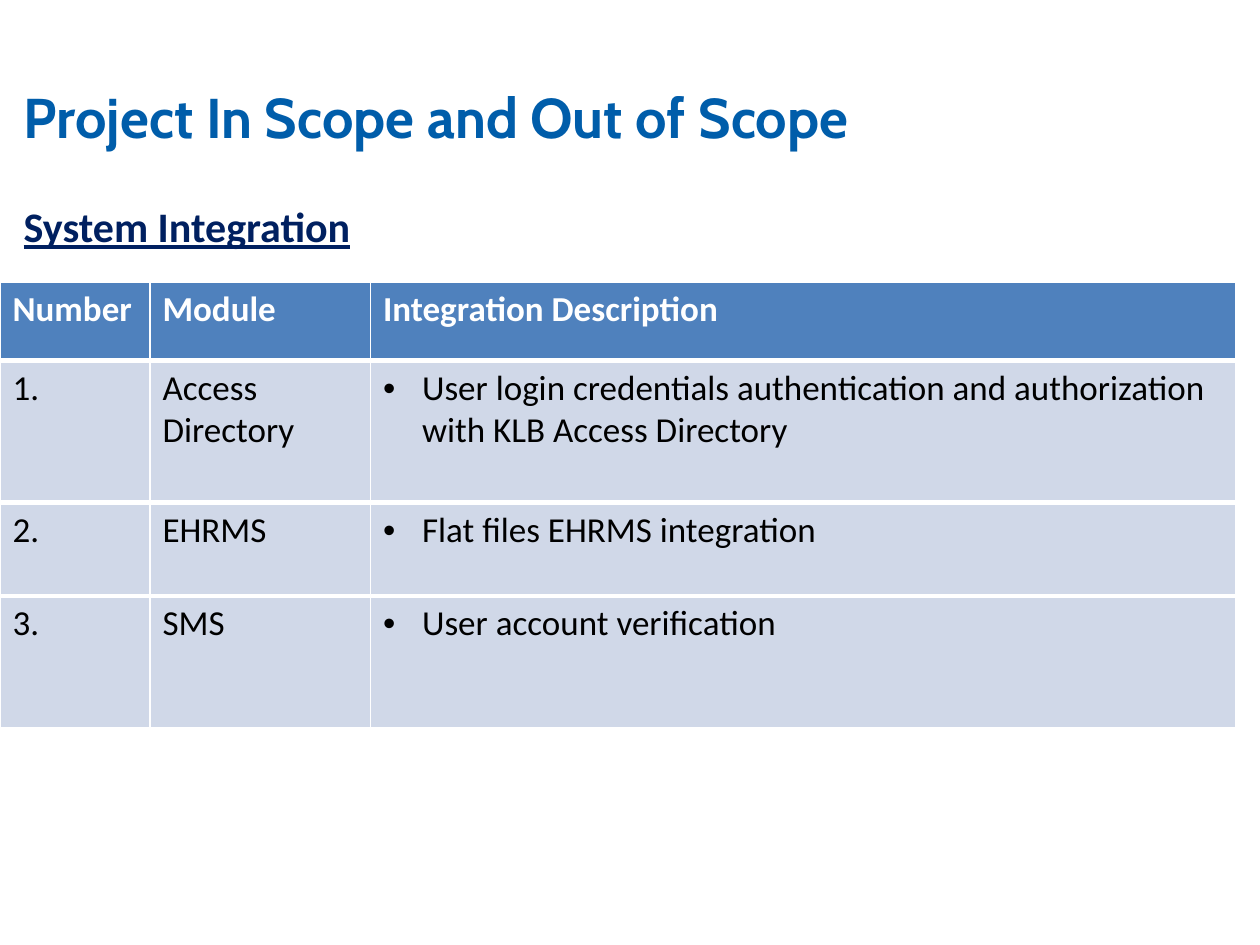
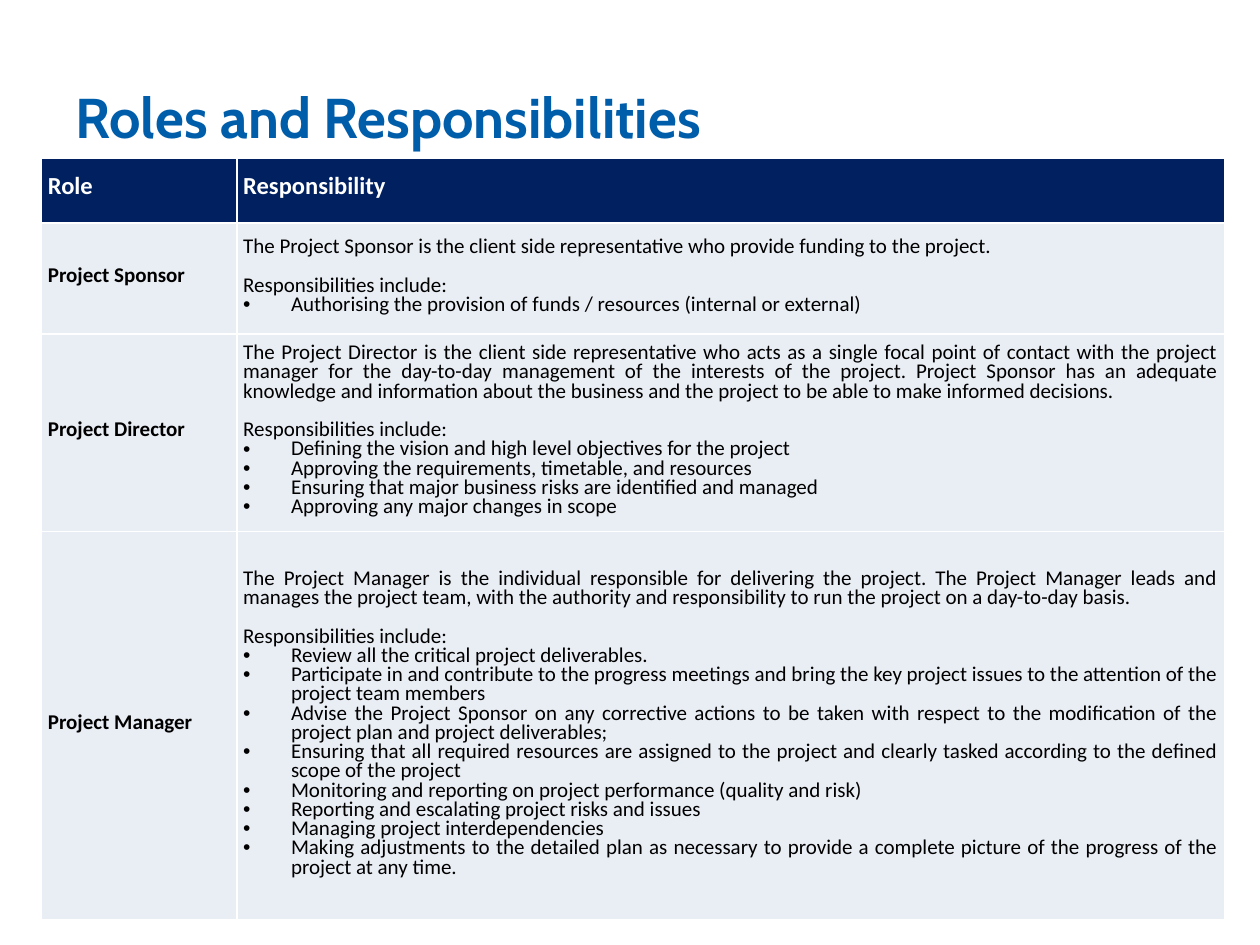
"""Build the project scope and the roles and responsibilities slides."""
from dataclasses import dataclass

from pptx import Presentation
from pptx.dml.color import RGBColor
from pptx.enum.text import MSO_ANCHOR, PP_ALIGN
from pptx.oxml import parse_xml
from pptx.oxml.ns import nsdecls
from pptx.util import Inches, Pt

INTEGRATIONS = {
    "title": "Project In Scope and Out of Scope",
    "subtitle": "System Integration",
    "header": ["Number", "Module", "Integration Description"],
    "rows": [
        ("1.", "Access Directory",
         "User login credentials authentication and authorization with KLB Access Directory"),
        ("2.", "EHRMS", "Flat files EHRMS integration"),
        ("3.", "SMS", "User account verification"),
    ],
}

ROLES = {
    "title": "Roles and Responsibilities",
    "header": ["Role", "Responsibility"],
    "lead_in": "Responsibilities include:",
    "rows": [
        ("Project Sponsor",
         "The Project Sponsor is the client side representative who provide funding to the project.",
         ["Authorising the provision of funds / resources (internal or external)"]),
        ("Project Director",
         "The Project Director is the client side representative who acts as a single focal point "
         "of contact with the project manager for the day-to-day management of the interests of "
         "the project. Project Sponsor has an adequate knowledge and information about the "
         "business and the project to be able to make informed decisions.",
         ["Defining the vision and high level objectives for the project",
          "Approving the requirements, timetable, and resources",
          "Ensuring that major business risks are identified and managed",
          "Approving any major changes in scope"]),
        ("Project Manager",
         "The Project Manager is the individual responsible for delivering the project. The "
         "Project Manager leads and manages the project team, with the authority and "
         "responsibility to run the project on a day-to-day basis.",
         ["Review all the critical project deliverables.",
          "Participate in and contribute to the progress meetings and bring the key project "
          "issues to the attention of the project team members",
          "Advise the Project Sponsor on any corrective actions to be taken with respect to the "
          "modification of the project plan and project deliverables;",
          "Ensuring that all required resources are assigned to the project and clearly tasked "
          "according to the defined scope of the project",
          "Monitoring and reporting on project performance (quality and risk)",
          "Reporting and escalating project risks and issues",
          "Managing project interdependencies",
          "Making adjustments to the detailed plan as necessary to provide a complete picture of "
          "the progress of the project at any time."]),
    ],
}


@dataclass(frozen=True)
class Theme:
    title_font: str = "Cabin"
    body_font: str = "Calibri"
    blue: str = "005DAA"
    navy: str = "002060"
    header_blue: str = "4F81BD"
    row_blue: str = "D0D8E8"
    row_pale: str = "E9EDF4"
    white: str = "FFFFFF"
    black: str = "000000"
    title_size: int = 32
    subtitle_size: int = 24
    scope_size: int = 20
    role_header_size: int = 14
    role_size: int = 12
    role_line: int = 11


THEME = Theme()


def write(frame, text, *, size, color=THEME.black, font=THEME.body_font, bold=False,
          underline=False, align=None, line=None, before=0, bullet_indent=0):
    """Add one formatted paragraph to a text frame."""
    first = frame.paragraphs[0]
    paragraph = frame.add_paragraph() if first.runs else first
    paragraph.alignment = align
    paragraph.space_before = Pt(before)
    if line:
        paragraph.line_spacing = Pt(line)
    run = paragraph.add_run()
    run.text = text
    run.font.name, run.font.size = font, Pt(size)
    run.font.bold, run.font.underline = bold, underline
    run.font.color.rgb = RGBColor.from_string(color)
    if bullet_indent:
        properties = paragraph._p.get_or_add_pPr()
        properties.set("marL", str(Inches(bullet_indent)))
        properties.set("indent", str(-Inches(bullet_indent)))
        properties.append(parse_xml(f'<a:buFont {nsdecls("a")} typeface="Arial"/>'))
        properties.append(parse_xml(f'<a:buChar {nsdecls("a")} char="•"/>'))


def add_text_box(slide, box, text, *, anchor=MSO_ANCHOR.TOP, top_inset=0.05, **text_format):
    """Add a wrapping text box holding one paragraph."""
    frame = slide.shapes.add_textbox(*map(Inches, box)).text_frame
    frame.word_wrap = True
    frame.vertical_anchor = anchor
    frame.margin_top = Inches(top_inset)
    write(frame, text, **text_format)


def add_title(slide, text, left):
    """Add the title style shared by all slides."""
    add_text_box(slide, (left, 0.3, 9, 1.25), text, anchor=MSO_ANCHOR.MIDDLE,
                 size=THEME.title_size, color=THEME.blue, font=THEME.title_font, bold=True)


def set_borders(cell, **widths):
    """Draw white cell borders, given in points for each side."""
    properties = cell._tc.get_or_add_tcPr()
    for position, (side, width) in enumerate(widths.items()):
        properties.insert(position, parse_xml(
            f'<a:ln{side} {nsdecls("a")} w="{Pt(width)}"><a:solidFill>'
            f'<a:srgbClr val="{THEME.white}"/></a:solidFill></a:ln{side}>'))


def add_grid(slide, left, top, columns, rows, *, header_fill, row_fill, rule=1,
             anchor=MSO_ANCHOR.TOP, side_inset=0.1):
    """Add an empty styled table and return it."""
    table = slide.shapes.add_table(len(rows), len(columns), Inches(left), Inches(top),
                                   Inches(sum(columns)), Inches(sum(rows))).table
    table.horz_banding = False
    for column, width in zip(table.columns, columns):
        column.width = Inches(width)
    last = len(rows) - 1
    for index, (row, height) in enumerate(zip(table.rows, rows)):
        row.height = Inches(height)
        for cell in row.cells:
            cell.fill.solid()
            cell.fill.fore_color.rgb = RGBColor.from_string(row_fill if index else header_fill)
            cell.vertical_anchor = anchor
            cell.margin_left = cell.margin_right = Inches(side_inset)
            cell.margin_top = cell.margin_bottom = Inches(0.05)
            set_borders(cell, L=1, R=1, T=rule if index else 1, B=rule if index < last else 1)
    return table


def build_integrations(slide):
    """Fill the system integration slide."""
    add_title(slide, INTEGRATIONS["title"], 0.09)
    table = add_grid(slide, 0, 2.24, [1.19, 1.75, 6.87], [0.62, 1.13, 0.74, 1.05], rule=3,
                     header_fill=THEME.header_blue, row_fill=THEME.row_blue)
    for column, heading in enumerate(INTEGRATIONS["header"]):
        write(table.cell(0, column).text_frame, heading, size=THEME.scope_size,
              color=THEME.white, bold=True)
    for row, texts in enumerate(INTEGRATIONS["rows"], 1):
        for column, text in enumerate(texts):
            write(table.cell(row, column).text_frame, text, size=THEME.scope_size,
                  bullet_indent=0.31 if column == 2 else 0)
    add_text_box(slide, (0.09, 1.24, 9.76, 1.11), INTEGRATIONS["subtitle"], top_inset=0.35,
                 size=THEME.subtitle_size, color=THEME.navy, bold=True, underline=True,
                 align=PP_ALIGN.JUSTIFY)


def build_roles(slide):
    """Fill the roles and responsibilities slide."""
    add_title(slide, ROLES["title"], 0.5)
    table = add_grid(slide, 0.33, 1.26, [1.55, 7.84], [0.51, 0.88, 1.57, 3.08],
                     header_fill=THEME.navy, row_fill=THEME.row_pale,
                     anchor=MSO_ANCHOR.MIDDLE, side_inset=0.05)
    layout = {"align": PP_ALIGN.JUSTIFY, "line": THEME.role_line}
    body = {"size": THEME.role_size, **layout}
    for column, heading in enumerate(ROLES["header"]):
        write(table.cell(0, column).text_frame, heading, size=THEME.role_header_size,
              color=THEME.white, bold=True, **layout)
    for row, (role, summary, duties) in enumerate(ROLES["rows"], 1):
        write(table.cell(row, 0).text_frame, role, bold=True, **body)
        frame = table.cell(row, 1).text_frame
        write(frame, summary, **body)
        write(frame, ROLES["lead_in"], before=THEME.role_line, **body)
        for duty in duties:
            write(frame, duty, bullet_indent=0.38, **body)


def main():
    """Build and save the presentation."""
    presentation = Presentation()
    presentation.slide_width, presentation.slide_height = Inches(10), Inches(7.5)
    for build in (build_integrations, build_roles):
        build(presentation.slides.add_slide(presentation.slide_layouts[6]))
    presentation.save("out.pptx")


if __name__ == "__main__":
    main()
